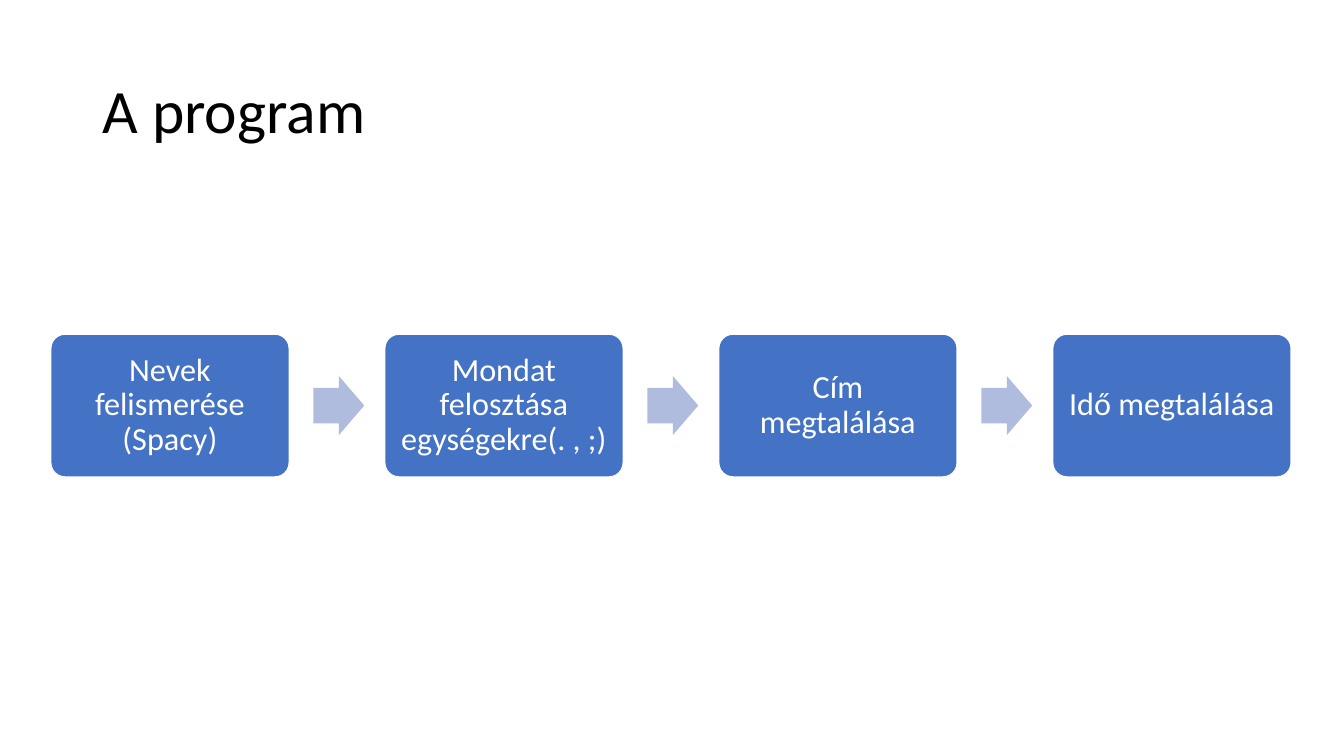
from dataclasses import dataclass

from pptx import Presentation
from pptx import util as u
from pptx.dml.color import RGBColor
from pptx.enum import shapes, text


@dataclass(frozen=True)
class Theme:
    font: str = "Calibri"
    title_size: int = 44
    step_size: int = 23
    title_color: str = "000000"
    step_text: str = "FFFFFF"
    step_fill: str = "4472C4"
    step_line: str = "FFFFFF"
    arrow_fill: str = "B0BCDE"


@dataclass(frozen=True)
class Box:
    """A rectangle in centimetres."""
    left: float
    top: float
    width: float
    height: float

    def lengths(self):
        return [u.Cm(v) for v in (self.left, self.top, self.width, self.height)]


THEME = Theme()
STEPS = [
    "Nevek felismerése (Spacy)",
    "Mondat felosztása egységekre(. , ;)",
    "Cím megtalálása",
    "Idő megtalálása",
]
STEP_WIDTH = 6.01
ARROW_WIDTH, ARROW_HEIGHT = 1.28, 1.49
ARROW_GAP = 0.61


def write_text(frame, words, size, color, alignment):
    frame.word_wrap = True
    frame.auto_size = text.MSO_AUTO_SIZE.NONE
    frame.vertical_anchor = text.MSO_ANCHOR.MIDDLE
    paragraph = frame.paragraphs[0]
    paragraph.alignment = alignment
    paragraph.line_spacing = 0.9
    run = paragraph.add_run()
    run.text = words
    run.font.name = THEME.font
    run.font.size = u.Pt(size)
    run.font.color.rgb = RGBColor.from_string(color)


def add_title(slide, box, words):
    title = slide.shapes.title
    title.left, title.top, title.width, title.height = box.lengths()
    write_text(title.text_frame, words, THEME.title_size, THEME.title_color,
               text.PP_ALIGN.LEFT)


def add_filled_shape(slide, kind, box, fill, adjustments):
    shape = slide.shapes.add_shape(kind, *box.lengths())
    shape.shadow.inherit = False
    shape.fill.solid()
    shape.fill.fore_color.rgb = RGBColor.from_string(fill)
    shape.line.fill.background()
    for index, value in enumerate(adjustments):
        shape.adjustments[index] = value
    return shape


def add_step(slide, box, words):
    step = add_filled_shape(slide, shapes.MSO_SHAPE.ROUNDED_RECTANGLE, box,
                            THEME.step_fill, [0.1])
    step.line.color.rgb = RGBColor.from_string(THEME.step_line)
    step.line.width = u.Pt(1)
    frame = step.text_frame
    frame.margin_left = frame.margin_right = u.Cm(0.25)
    frame.margin_top = frame.margin_bottom = u.Cm(0.25)
    write_text(frame, words, THEME.step_size, THEME.step_text,
               text.PP_ALIGN.CENTER)


def add_process(slide, box, steps):
    """Spread the steps evenly over the box, with an arrow between neighbours."""
    pitch = (box.width - STEP_WIDTH) / (len(steps) - 1)
    arrow_top = box.top + (box.height - ARROW_HEIGHT) / 2
    for index, words in enumerate(steps):
        left = box.left + index * pitch
        add_step(slide, Box(left, box.top, STEP_WIDTH, box.height), words)
        if index < len(steps) - 1:
            arrow_box = Box(left + STEP_WIDTH + ARROW_GAP, arrow_top,
                            ARROW_WIDTH, ARROW_HEIGHT)
            add_filled_shape(slide, shapes.MSO_SHAPE.RIGHT_ARROW, arrow_box,
                             THEME.arrow_fill, [0.6, 0.5])


def main():
    presentation = Presentation()
    presentation.slide_width = u.Cm(33.87)
    presentation.slide_height = u.Cm(19.05)
    slide = presentation.slides.add_slide(presentation.slide_layouts[5])
    add_title(slide, Box(2.33, 1.01, 29.21, 3.68), "A program")
    add_process(slide, Box(1.28, 8.42, 31.26, 3.6), STEPS)
    presentation.save("out.pptx")


if __name__ == "__main__":
    main()
